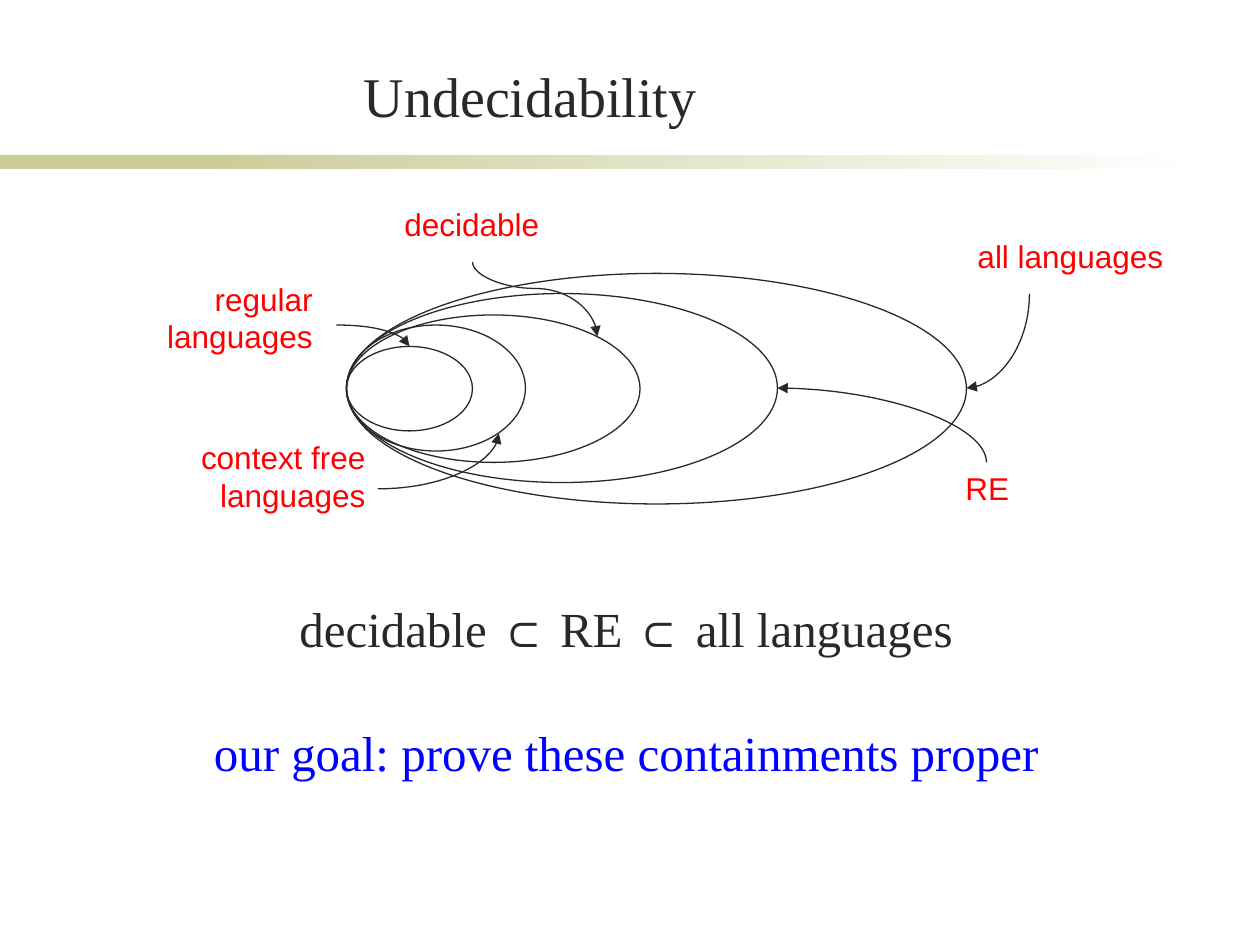
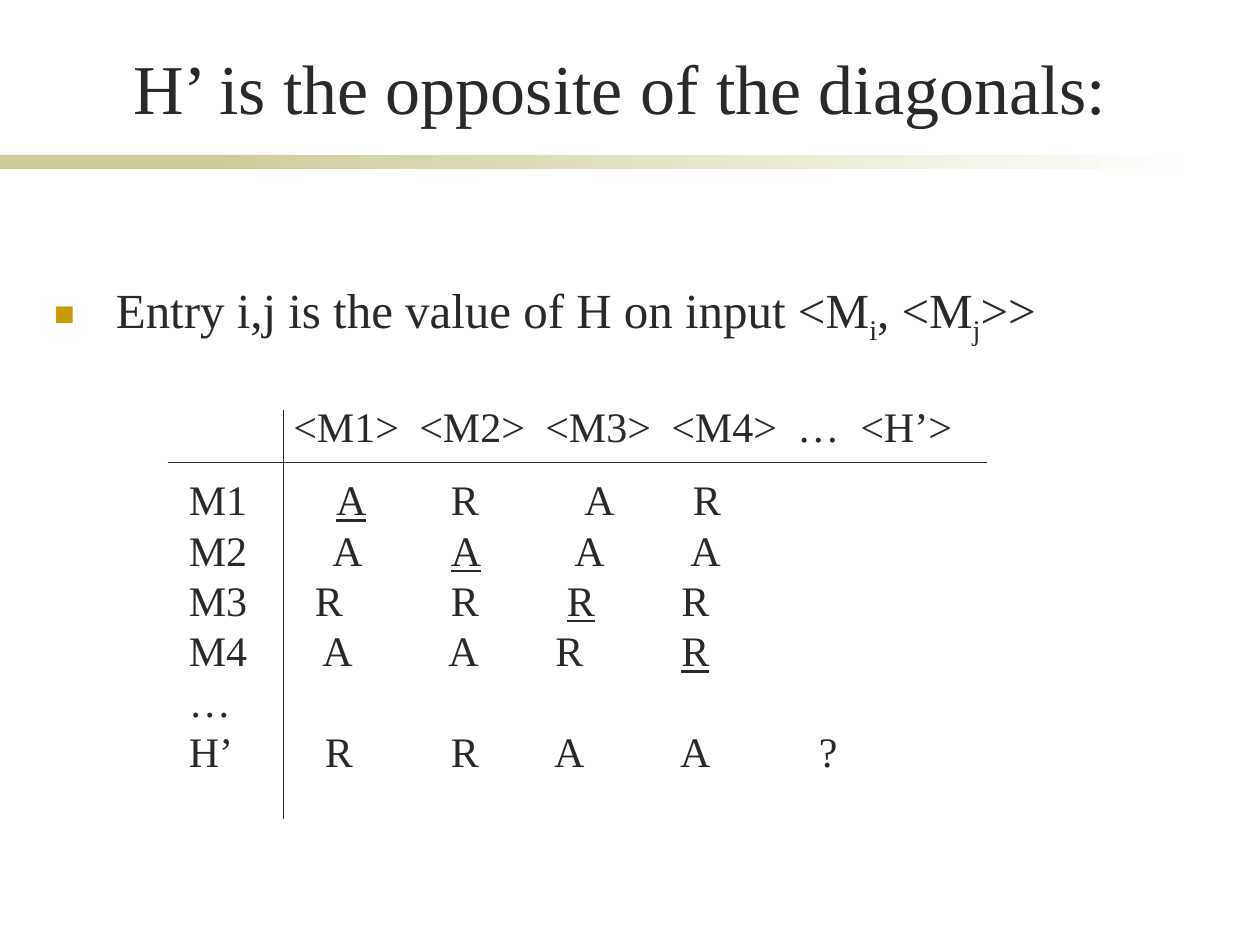
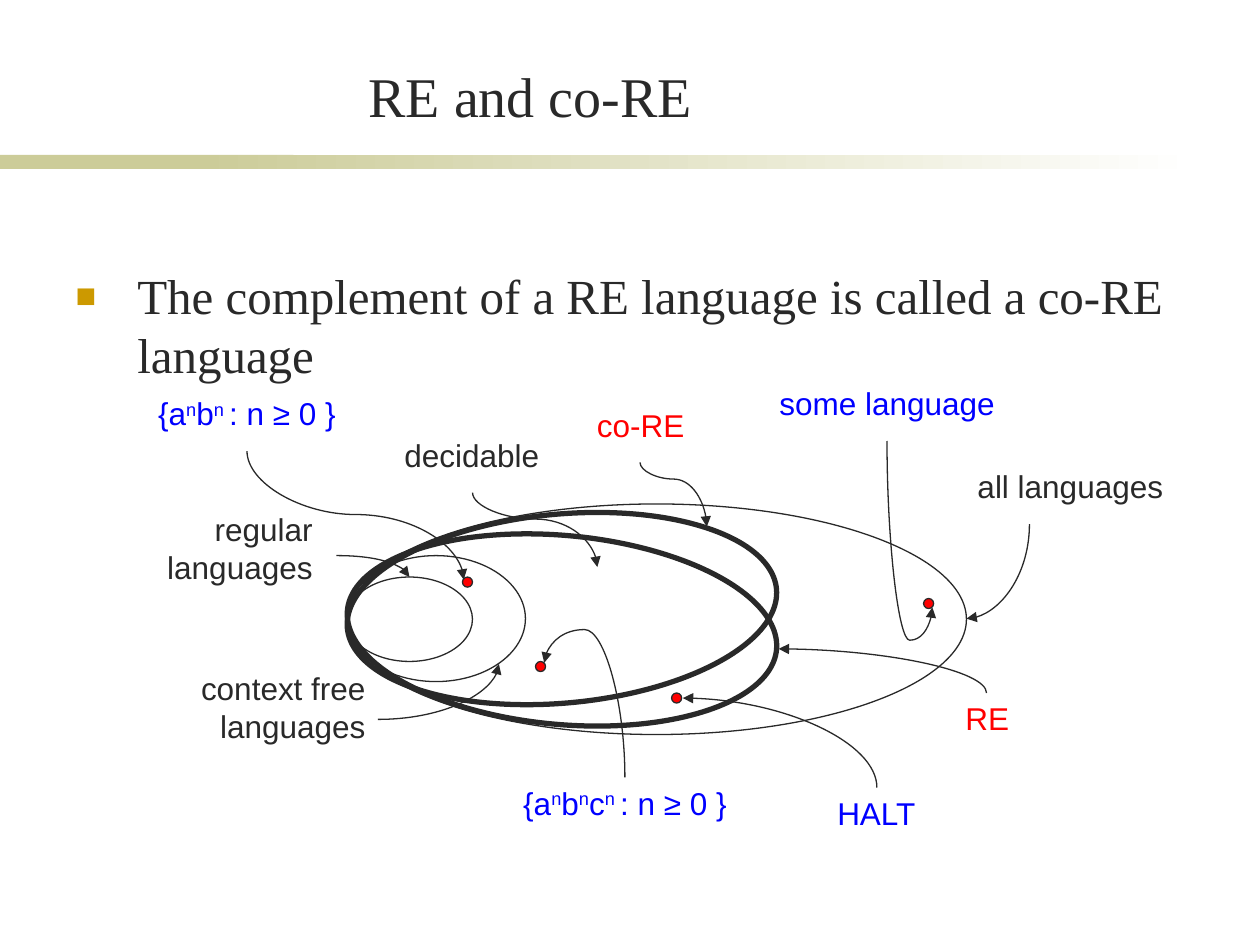
from lxml import etree
from pptx import Presentation
from pptx.dml.color import RGBColor
from pptx.enum.shapes import MSO_CONNECTOR as LINK, MSO_SHAPE as SHAPE
from pptx.enum.text import MSO_ANCHOR as ANCHOR, MSO_AUTO_SIZE as FIT, PP_ALIGN as ALIGN
from pptx.oxml.ns import qn
from pptx.util import Inches, Pt

INK, RED, BLUE = "292929", "FF0000", "0000FF"
SAND, GOLD, WHITE = "CCCC99", "CC9900", "FFFFFF"
SERIF, SANS = "Times New Roman", "Arial"
INDENT = 0.49

NARROW_TITLE = (1.14, 0.44, 6.14, 0.63)
WIDE_TITLE = (0.86, 0.44, 8.12, 0.63)

GOAL_LINES = [
    ([("decidable ⊂ RE ⊂ all languages", 0)], INK, None),
    ([("our goal: prove these containments proper", 0)], BLUE, 41),
]
ENTRY_RULE = [("Entry i,j is the value of H on input <M", 0), ("i", -25),
              (", <M", 0), ("j", -25), (">>", 0)]
CO_RE_RULE = [("The complement of a RE language is called a co-RE language", 0)]

LANGUAGE_OVALS = [
    (2.75, 2.17, 4.92, 1.83),
    (2.75, 2.58, 1.42, 1),
    (2.75, 2.75, 1, 0.67),
]
LANGUAGE_LABELS = [
    ("regular languages", (0.75, 2.17, 1.83, 0.9), ALIGN.RIGHT),
    ("context free languages", (0.67, 3.43, 2.33, 0.9), ALIGN.RIGHT),
    ("all languages", (7, 1.83, 2.33, 0.5), ALIGN.RIGHT),
    ("decidable", (2.58, 1.58, 2.33, 0.5), ALIGN.CENTER),
]
LANGUAGE_ARROWS = [
    ((2.67, 2.58), (3.25, 2.75), False, None),
    ((3, 3.88), (3.96, 3.44), False, None),
    ((8.17, 2.33), (7.67, 3.08), True, None),
    ((3.75, 2.08), (4.74, 2.67), True, 0.355),
]
RE_LABEL = (6.67, 3.67, 2.33, 0.5)
PROPER_OVALS = [(2.75, 2.33, 3.42, 1.5), (2.75, 2.5, 2.33, 1.17)]
DIAGRAM_DROP = 1.83

TILTED_OVALS = [((2.75, 4.25, 3.42, 1.5), 5.2), ((2.75, 4.08, 3.42, 1.5), -5.2)]
EXAMPLE_LABELS = [
    ([("{a", 0), ("n", 30), ("b", 0), ("n ", 30), (": n ≥ 0 }", 0)],
     (0.5, 3.08, 2.92, 0.5), BLUE),
    ([("{a", 0), ("n", 30), ("b", 0), ("n", 30), ("c", 0), ("n ", 30), (": n ≥ 0 }", 0)],
     (3.5, 6.17, 2.92, 0.5), BLUE),
    ([("some language", 0)], (5.58, 3, 2.92, 0.5), BLUE),
    ([("HALT", 0)], (6.33, 6.25, 1.25, 0.5), BLUE),
    ([("co-RE", 0)], (3.92, 3.17, 2.33, 0.5), RED),
]
EXAMPLE_ARROWS = [
    ((7.83, 5.5), (6.18, 5.15), None),
    ((1.96, 3.58), (3.68, 4.6), 0.494),
    ((4.96, 6.17), (4.32, 5.26), 1.29),
    ((7.04, 3.5), (7.4, 4.82), 1.198),
    ((6.96, 6.25), (5.42, 5.54), None),
    ((5.08, 3.67), (5.61, 4.18), 0.259),
]
EXAMPLE_DOTS = [(3.67, 4.58), (4.25, 5.25), (7.33, 4.75), (5.33, 5.5)]
DOT_SIZE = 0.08

INPUTS = ["<M1>", "<M2>", "<M3>", "<M4>", "…", "<H’>"]
INPUT_STOPS = [1, 2, 3, 4, 4.5]
MACHINES = [
    (["M1", "A", "R", "A", "R"], [1.17, 2.08, 3.14, 4]),
    (["M2", "A", "A", "A", "A"], [1.14, 2.08, 3.06, 3.98]),
    (["M3", "R", "R", "R", "R"], [1, 2.08, 3, 3.91]),
    (["M4", "A", "A", "R", "R"], [1.06, 2.06, 2.91, 3.91]),
    (["…"], []),
    (["H’", "R", "R", "A", "A", "?"], [1.08, 2.08, 2.9, 3.9, 5]),
]
MATRIX_RULES = [((1.33, 3.67), (7.83, 3.67)), ((2.25, 3.25), (2.25, 6.5))]


def rgb(code):
    return RGBColor.from_string(code)


def inches(values):
    return [Inches(value) for value in values]


def apply(target, **values):
    for name, value in values.items():
        setattr(target, name, value)


def add_child(parent, tag, **attributes):
    child = etree.SubElement(parent, qn(tag))
    for name, value in attributes.items():
        child.set(name, str(value))
    return child


def add_span(para, text, font, size, colour, base=0, underline=None):
    span = para.add_run()
    span.text = text
    apply(span.font, name=font, size=Pt(size), underline=underline)
    span.font.color.rgb = rgb(colour)
    if base:
        span._r.get_or_add_rPr().set("baseline", str(base * 1000))


def add_spans(para, parts, font, size, colour):
    for text, base in parts:
        add_span(para, text, font, size, colour, base)


def place(shape, area):
    apply(shape, **dict(zip(("left", "top", "width", "height"), inches(area))))


def add_page(deck, title, area, size):
    page = deck.slides.add_slide(deck.slide_layouts[1])
    box = page.shapes.title
    place(box, area)
    apply(box.text_frame, vertical_anchor=ANCHOR.BOTTOM, auto_size=FIT.NONE, word_wrap=True)
    para = box.text_frame.paragraphs[0]
    para.alignment = ALIGN.CENTER
    add_span(para, title, SERIF, size, INK)
    return page


def fill_body(page, area, lines, bullet):
    box = page.placeholders[1]
    place(box, area)
    frame = box.text_frame
    apply(frame, auto_size=FIT.NONE, word_wrap=True, vertical_anchor=ANCHOR.TOP)
    for index, (parts, colour, gap) in enumerate(lines):
        para = frame.add_paragraph() if index else frame.paragraphs[0]
        add_spans(para, parts, SERIF, 28, colour)
        if gap:
            para.space_before = Pt(gap)
        details = para._p.get_or_add_pPr()
        details.set("marL", str(Inches(INDENT)))
        details.set("indent", str(-Inches(INDENT)))
        if bullet:
            para.alignment = ALIGN.LEFT
            add_child(add_child(details, "a:buClr"), "a:srgbClr", val=GOLD)
            add_child(details, "a:buSzPct", val=70000)
            add_child(details, "a:buFont", typeface=SANS)
            add_child(details, "a:buChar", char="■")
        else:
            apply(para, alignment=ALIGN.CENTER, line_spacing=0.9)
            add_child(details, "a:buNone")


def add_text(page, area, wrap=True):
    frame = page.shapes.add_textbox(*inches(area)).text_frame
    apply(frame, word_wrap=wrap, auto_size=FIT.NONE)
    return frame


def add_label(page, parts, area, align, colour):
    para = add_text(page, area).paragraphs[0]
    para.alignment = align
    add_spans(para, parts, SANS, 18, colour)


def add_oval(page, area, weight=0.75, turn=0, fill=None):
    oval = page.shapes.add_shape(SHAPE.OVAL, *inches(area))
    oval.shadow.inherit = False
    oval.rotation = turn
    if fill:
        oval.fill.solid()
        oval.fill.fore_color.rgb = rgb(fill)
    else:
        oval.fill.background()
    oval.line.width = Pt(weight)
    oval.line.color.rgb = rgb(INK)


def add_line(page, start, end, kind=LINK.STRAIGHT):
    line = page.shapes.add_connector(kind, *inches(start + end))
    line.line.width = Pt(0.75)
    line.line.color.rgb = rgb(INK)
    add_child(line._element.spPr, "a:effectLst")
    return line


def add_arrow(page, start, end, vertical, bend=None):
    turn = 0
    if vertical:
        (x1, y1), (x2, y2) = start, end
        turn = 90 if x2 < x1 else 270
        flipped = (turn == 90) == (y2 < y1)
        middle_x, middle_y = (x1 + x2) / 2, (y1 + y2) / 2
        half_x, half_y = abs(y2 - y1) / 2, abs(x2 - x1) / 2
        if flipped:
            half_x = -half_x
        start = (middle_x - half_x, middle_y - half_y)
        end = (middle_x + half_x, middle_y + half_y)
    arrow = add_line(page, start, end, LINK.CURVE)
    add_child(arrow.line._get_or_add_ln(), "a:tailEnd", type="triangle")
    details = arrow._element.spPr
    if turn:
        details.find(qn("a:xfrm")).set("rot", str(turn * 60000))
    outline = details.find(qn("a:prstGeom"))
    if bend is None:
        outline.set("prst", "curvedConnector2")
    else:
        guides = outline.find(qn("a:avLst"))
        if guides is None:
            guides = add_child(outline, "a:avLst")
        add_child(guides, "a:gd", name="adj1", fmla=f"val {round(bend * 100000)}")


def add_tabbed_row(para, cells, stops, underlined=None):
    tabs = add_child(para._p.get_or_add_pPr(), "a:tabLst")
    for stop in stops:
        add_child(tabs, "a:tab", pos=Inches(stop), algn="l")
    for column, text in enumerate(cells):
        if column:
            add_span(para, "\t", SERIF, 24, INK)
        add_span(para, text, SERIF, 24, INK, underline=True if column == underlined else None)


def add_diagram(page, drop, colour):
    def lower(area):
        return (area[0], area[1] + drop) + area[2:]

    for area in LANGUAGE_OVALS:
        add_oval(page, lower(area))
    for text, area, align in LANGUAGE_LABELS:
        add_label(page, [(text, 0)], lower(area), align, colour)
    add_label(page, [("RE", 0)], lower(RE_LABEL), ALIGN.CENTER, RED)
    for start, end, vertical, bend in LANGUAGE_ARROWS:
        add_arrow(page, lower(start), lower(end), vertical, bend)


def add_master_band(deck, page):
    tree = deck.slide_master.shapes._spTree
    for index, (left, width) in enumerate([(0, 2.33), (1.58, 7.92)]):
        band = page.shapes.add_shape(SHAPE.RECTANGLE, *inches((left, 1.23, width, 0.11)))
        band.shadow.inherit = False
        band.line.fill.background()
        if index:
            band.fill.gradient()
            band.fill.gradient_angle = 0
            for stop, colour in zip(band.fill.gradient_stops, (SAND, WHITE)):
                stop.color.rgb = rgb(colour)
        else:
            band.fill.solid()
            band.fill.fore_color.rgb = rgb(SAND)
        tree.insert(2 + index, band._element)


def build_undecidability(deck):
    page = add_page(deck, "Undecidability", NARROW_TITLE, 32)
    add_master_band(deck, page)
    fill_body(page, (0.5, 4.75, 8.94, 1.87), GOAL_LINES, False)
    add_diagram(page, 0, RED)
    for area in PROPER_OVALS:
        add_oval(page, area)
    add_arrow(page, (7.83, 3.67), (6.17, 3.08), True)


def build_diagonal(deck):
    page = add_page(deck, "H’ is the opposite of the diagonals:", WIDE_TITLE, 40)
    fill_body(page, (0.33, 2.17, 9.33, 4.5), [(ENTRY_RULE, INK, None)], True)
    header = add_text(page, (2.23, 3.13, 5.43, 0.5), False)
    add_tabbed_row(header.paragraphs[0], INPUTS, INPUT_STOPS)
    matrix = add_text(page, (1.4, 3.71, 6.65, 2.52))
    for index, (cells, stops) in enumerate(MACHINES):
        para = matrix.add_paragraph() if index else matrix.paragraphs[0]
        diagonal = index + 1 if index < 4 else None
        add_tabbed_row(para, cells, stops, diagonal)
    for start, end in MATRIX_RULES:
        add_line(page, start, end)


def build_co_re(deck):
    page = add_page(deck, "RE and co-RE", NARROW_TITLE, 32)
    fill_body(page, (0.5, 2.06, 8.94, 1.23), [(CO_RE_RULE, INK, None)], True)
    add_diagram(page, DIAGRAM_DROP, INK)
    for area, turn in TILTED_OVALS:
        add_oval(page, area, 3, turn)
    for parts, area, colour in EXAMPLE_LABELS:
        add_label(page, parts, area, ALIGN.CENTER, colour)
    for left, top in EXAMPLE_DOTS:
        add_oval(page, (left, top, DOT_SIZE, DOT_SIZE), fill=RED)
    for start, end, bend in EXAMPLE_ARROWS:
        add_arrow(page, start, end, True, bend)


def main():
    deck = Presentation()
    apply(deck, slide_width=Inches(10), slide_height=Inches(7.5))
    build_undecidability(deck)
    build_diagonal(deck)
    build_co_re(deck)
    deck.save("out.pptx")


if __name__ == "__main__":
    main()
